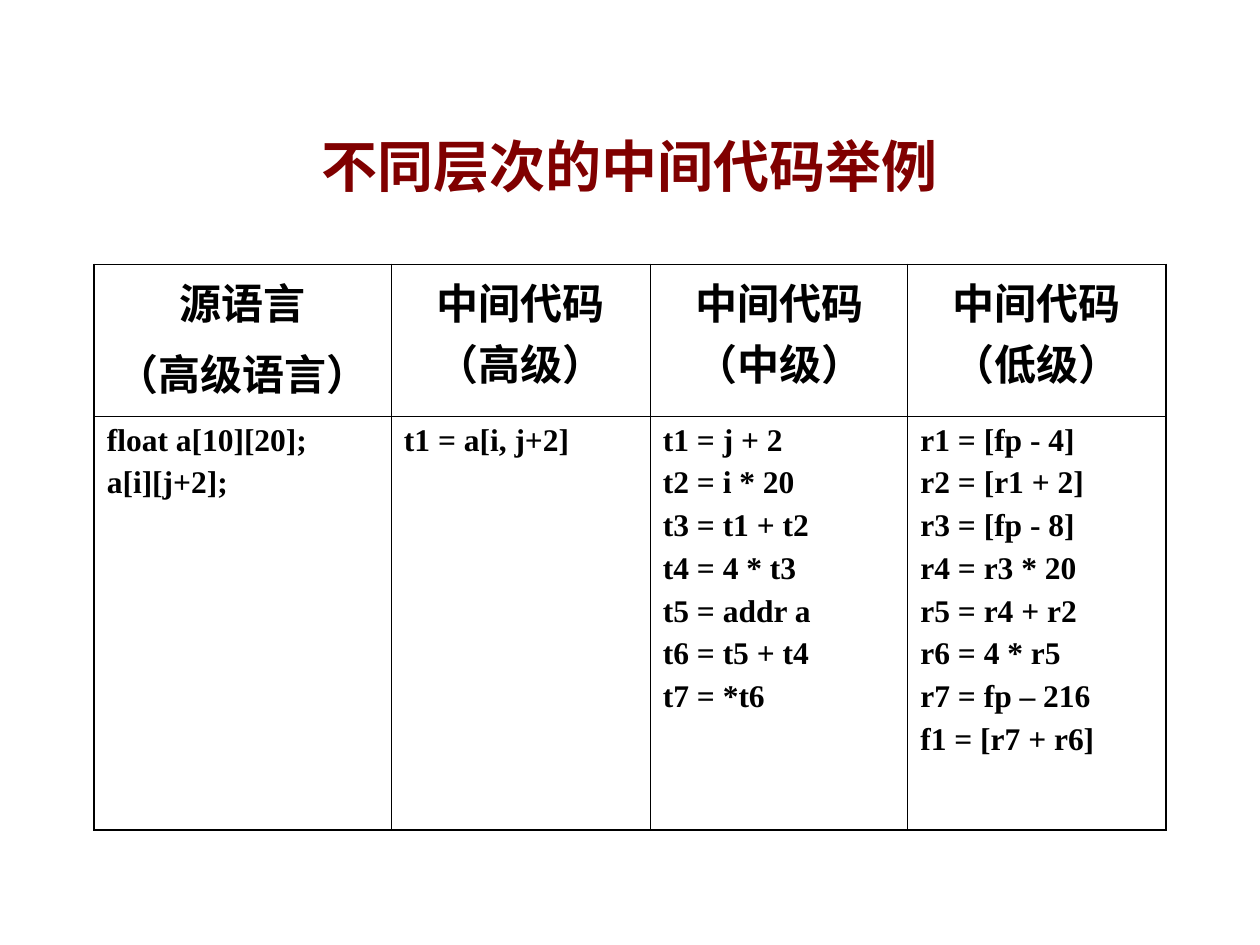
from lxml.etree import fromstring
from pptx import Presentation
from pptx.dml.color import RGBColor
from pptx.enum.text import MSO_ANCHOR, PP_ALIGN
from pptx.oxml.ns import nsdecls
from pptx.util import Cm, Pt


def write(para, text, size, color, align):
    para.alignment = align
    run = para.add_run()
    run.text = text
    font = run.font
    font.name, font.size, font.bold = "Times New Roman", Pt(size), True
    font.color.rgb = RGBColor.from_string(color)


def edge(cell, side, width, place):
    line = fromstring(
        f'<a:ln{side} {nsdecls("a")} w="{Pt(width)}"><a:solidFill>'
        f'<a:srgbClr val="000000"/></a:solidFill></a:ln{side}>')
    cell._tc.get_or_add_tcPr().insert(place, line)


deck = Presentation()
deck.slide_width, deck.slide_height = Cm(25.4), Cm(19.05)
slide = deck.slides.add_slide(deck.slide_layouts[5])

# Title
title = slide.shapes.title
title.left, title.top = Cm(1.9), Cm(1.73)
title.width, title.height = Cm(21.6), Cm(3.18)
title.text_frame.vertical_anchor = MSO_ANCHOR.MIDDLE
write(title.text_frame.paragraphs[0], "不同层次的中间代码举例", 32, "800000",
      PP_ALIGN.CENTER)

# Contents: one list of lines per cell
heads = [["源语言", "（高级语言）"], ["中间代码（高级）"],
         ["中间代码（中级）"], ["中间代码（低级）"]]
codes = [
    ["float a[10][20];", "a[i][j+2];"],
    ["t1 = a[i, j+2]"],
    ["t1 = j + 2", "t2 = i * 20", "t3 = t1 + t2", "t4 = 4 * t3",
     "t5 = addr a", "t6 = t5 + t4", "t7 = *t6"],
    ["r1 = [fp - 4]", "r2 = [r1 + 2]", "r3 = [fp - 8]", "r4 = r3 * 20",
     "r5 = r4 + r2", "r6 = 4 * r5", "r7 = fp – 216", "f1 = [r7 + r6]"],
]
# Lines, text size, space between lines, alignment
rows = [(heads, 24, 6, PP_ALIGN.CENTER), (codes, 18, 4.5, PP_ALIGN.LEFT)]

# Table grid
table = slide.shapes.add_table(2, 4, Cm(1.9), Cm(5.33), Cm(21.6),
                               Cm(11.4)).table
table.first_row = table.horz_banding = False
for col, width in zip(table.columns, [5.99, 5.22, 5.19, 5.2]):
    col.width = Cm(width)
for row, height in zip(table.rows, [3.07, 8.33]):
    row.height = Cm(height)

# Cells: thick outer edges, thin inner ones
for r, (cells, size, gap, align) in enumerate(rows):
    for c, lines in enumerate(cells):
        cell = table.cell(r, c)
        cell.fill.background()
        outer = {"L": c == 0, "R": c == 3, "T": r == 0, "B": r == 1}
        for place, (side, thick) in enumerate(outer.items()):
            edge(cell, side, 1.08 if thick else 0.45, place)
        frame = cell.text_frame
        for i, text in enumerate(lines):
            para = frame.add_paragraph() if i else frame.paragraphs[0]
            if i:
                para.space_before = Pt(gap)
            write(para, text, size, "000000", align)

deck.save("out.pptx")
